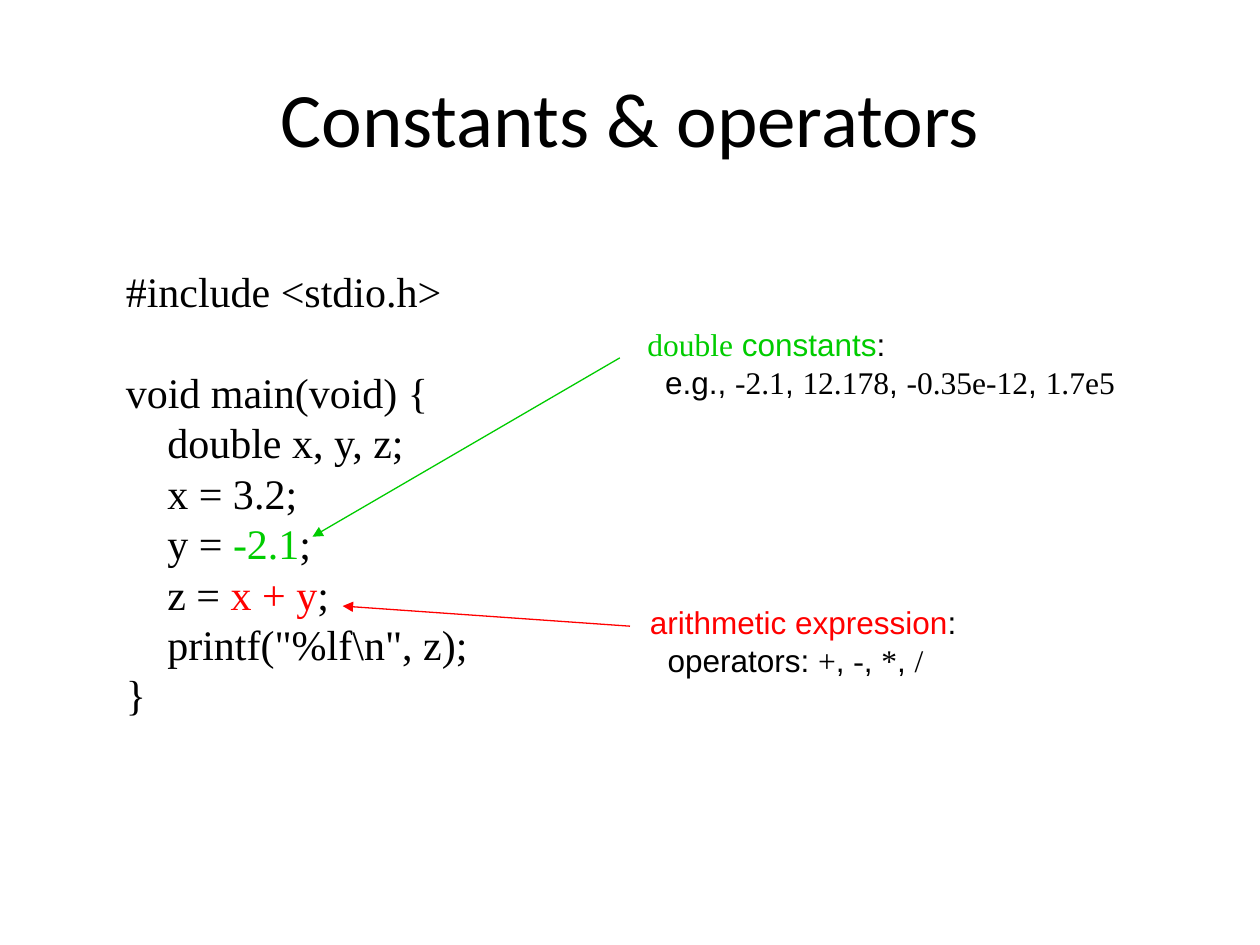
from lxml.etree import SubElement
from pptx import Presentation
from pptx.dml.color import RGBColor
from pptx.enum.shapes import MSO_CONNECTOR
from pptx.enum.text import MSO_ANCHOR, MSO_AUTO_SIZE, PP_ALIGN
from pptx.oxml.ns import qn
from pptx.util import Inches, Pt

BLACK, GREEN, RED = "000000", "00CC00", "FF0000"
SANS, SERIF = "Arial", "Times New Roman"


def rgb(value):
    return RGBColor.from_string(value)


class SlideBuilder:
    line_ratio = 1.2

    def __init__(self, prs):
        self.s = prs.slides.add_slide(prs.slide_layouts[5])

    def place(self, sp, left, top, width, height):
        sp.left, sp.top = Inches(left), Inches(top)
        sp.width, sp.height = Inches(width), Inches(height)

    def title(self, text, *box):
        sp = self.s.shapes.title
        self.place(sp, *box)
        tf = sp.text_frame
        tf.text = text
        tf.vertical_anchor = MSO_ANCHOR.MIDDLE
        p = tf.paragraphs[0]
        p.alignment = PP_ALIGN.CENTER
        p.font.size = Pt(44)
        p.font.name = "Calibri"
        p.font.color.rgb = rgb(BLACK)

    def frame(self, *box):
        tf = self.s.shapes.add_textbox(*map(Inches, box)).text_frame
        tf.word_wrap = False
        tf.auto_size = MSO_AUTO_SIZE.SHAPE_TO_FIT_TEXT
        return tf

    def style(self, p, size, indent, first=0):
        p.font.size = Pt(size)
        p.line_spacing = Pt(size * self.line_ratio)
        pPr = p._p.get_or_add_pPr()
        pPr.set("marL", str(Inches(indent)))
        pPr.set("indent", str(Inches(first)))

    def run(self, p, text, color=BLACK, font=SERIF):
        r = p.add_run()
        r.text = text
        r.font.name = font
        r.font.color.rgb = rgb(color)

    def code(self, lines, *box, size=24):
        tf = self.frame(*box)
        for i, (level, gap, runs) in enumerate(lines):
            p = tf.paragraphs[0] if i == 0 else tf.add_paragraph()
            self.style(p, size, level * 0.33)
            p.space_before = Pt(gap * size * self.line_ratio)
            for part in runs:
                self.run(p, *part)

    def note(self, heading, label, samples, *box):
        p = self.frame(*box).paragraphs[0]
        self.style(p, 18, 0.14, -0.14)
        for part in heading:
            self.run(p, *part)
        self.run(p, ":", BLACK, SANS)
        p.add_line_break()
        self.run(p, label, BLACK, SANS)
        for i, sample in enumerate(samples):
            if i:
                self.run(p, ", ", BLACK, SANS)
            self.run(p, sample)

    def arrow(self, color, *ends):
        cn = self.s.shapes.add_connector(MSO_CONNECTOR.STRAIGHT, *map(Inches, ends))
        cn.line.color.rgb = rgb(color)
        cn.line.width = Pt(0.75)
        SubElement(cn.line._get_or_add_ln(), qn("a:tailEnd"), type="triangle")
        SubElement(cn._element.spPr, qn("a:effectLst"))


def main():
    prs = Presentation()
    prs.slide_width, prs.slide_height = Inches(10), Inches(7.5)
    b = SlideBuilder(prs)
    b.title("Constants & operators", 0.5, 0.3, 9, 1.25)

    program = [
        (0, 0, [("#include <stdio.h>",)]),
        (0, 1, [("void main(void) {",)]),
        (1, 0, [("double x, y, z;",)]),
        (1, 0, [("x = 3.2;",)]),
        (1, 0, [("y = ",), ("-2.1", GREEN), (";",)]),
        (1, 0, [("z = ",), ("x + y", RED), (";",)]),
        (1, 0, [(r'printf("%lf\n", z);',)]),
        (0, 0, [("}",)]),
    ]
    b.code(program, 0.9, 2.06, 2.94, 3.74)

    b.arrow(RED, 5, 4.97, 2.72, 4.81)
    b.note([("arithmetic expression", RED, SANS)], "operators: ",
           ["+", "-", "*", "/"], 5.06, 4.74, 2.63, 0.7)

    b.arrow(GREEN, 4.92, 2.84, 2.48, 4.26)
    b.note([("double", GREEN), (" constants", GREEN, SANS)], "e.g., ",
           ["-2.1", "12.178", "-0.35e-12", "1.7e5"], 5.04, 2.53, 3.91, 0.7)

    prs.save("out.pptx")


if __name__ == "__main__":
    main()
